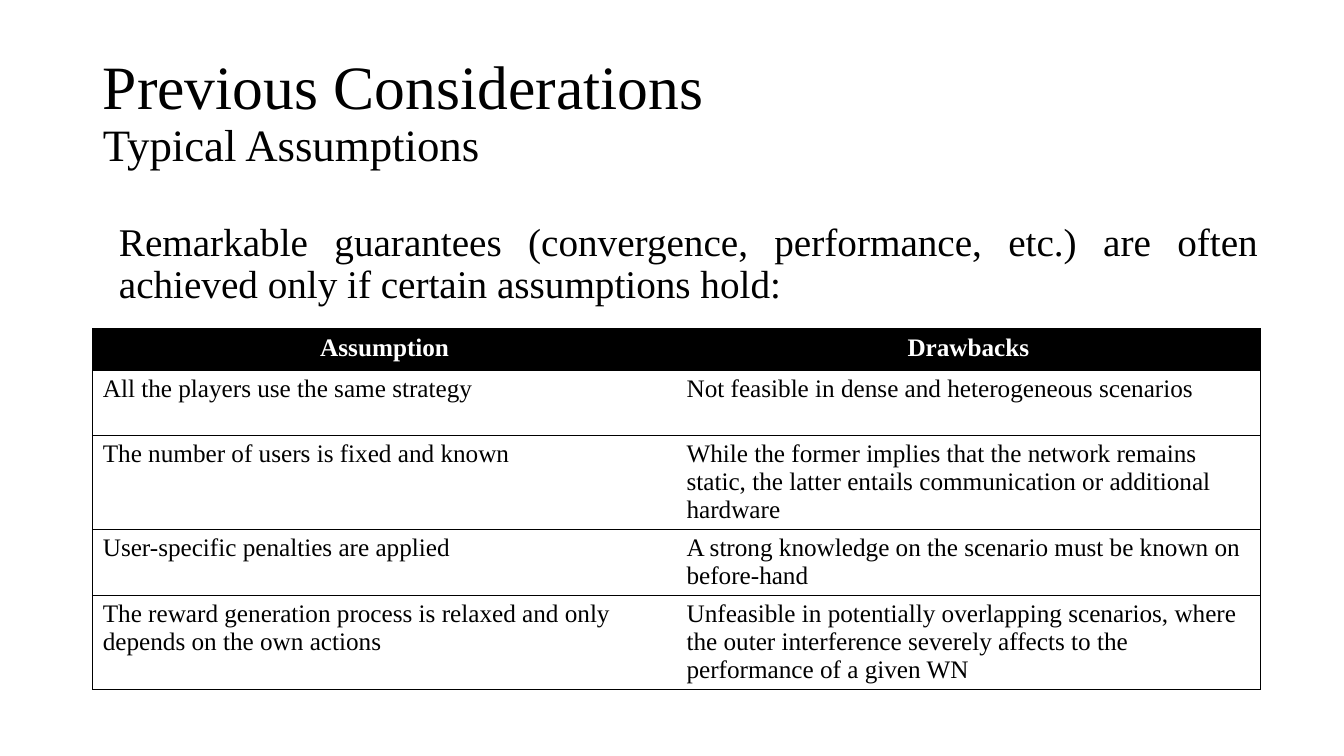
from lxml import etree
from pptx import Presentation
from pptx import util as u
from pptx.dml.color import RGBColor
from pptx.enum import text
from pptx.oxml import ns

BLACK = RGBColor(0, 0, 0)
WHITE = RGBColor(255, 255, 255)

ASSUMPTIONS = [
    ("Assumption", "Drawbacks"),
    ("All the players use the same strategy",
     "Not feasible in dense and heterogeneous scenarios"),
    ("The number of users is fixed and known",
     "While the former implies that the network remains static, the latter "
     "entails communication or additional hardware"),
    ("User-specific penalties are applied",
     "A strong knowledge on the scenario must be known on before-hand"),
    ("The reward generation process is relaxed and only depends on the own actions",
     "Unfeasible in potentially overlapping scenarios, where the outer interference "
     "severely affects to the performance of a given WN"),
]
ROW_HEIGHTS = [0.41, 0.65, 0.93, 0.65, 0.93]


class SlideWriter:
    """Holds the text style and the page being filled."""

    font_name = "Times New Roman"
    border_width = u.Pt(0.5)

    def __init__(self, page):
        self.page = page

    def style(self, font, size, color=BLACK, bold=False):
        font.name = self.font_name
        font.size = u.Pt(size)
        font.bold = bold
        font.color.rgb = color

    def place(self, holder, left, top, width, height):
        holder.left, holder.top = u.Inches(left), u.Inches(top)
        holder.width, holder.height = u.Inches(width), u.Inches(height)
        holder.text_frame.auto_size = text.MSO_AUTO_SIZE.NONE

    def title(self, heading, subheading, *area):
        holder = self.page.shapes.title
        self.place(holder, *area)
        holder.text_frame.vertical_anchor = text.MSO_ANCHOR.MIDDLE
        para = holder.text_frame.paragraphs[0]
        para.alignment = text.PP_ALIGN.LEFT
        para.line_spacing = 0.9
        for words, size in ((heading, 44), (subheading, 32)):
            if para.runs:
                para.add_line_break()
            span = para.add_run()
            span.text = words
            self.style(span.font, size)

    def body(self, words, *area):
        holder = self.page.placeholders[1]
        self.place(holder, *area)
        para = holder.text_frame.paragraphs[0]
        para.text = words
        para.alignment = text.PP_ALIGN.JUSTIFY
        para.line_spacing = 0.9
        para.space_before = u.Pt(0)
        properties = para._p.get_or_add_pPr()
        properties.set("marL", "0")
        properties.set("indent", "0")
        etree.SubElement(properties, ns.qn("a:buNone"))
        self.style(para.font, 28)

    def borders(self, cell, visible_sides):
        properties = cell._tc.get_or_add_tcPr()
        for side in "LRTB":
            line = etree.SubElement(properties, ns.qn(f"a:ln{side}"))
            if side in visible_sides:
                line.set("w", str(self.border_width))
                fill = etree.SubElement(line, ns.qn("a:solidFill"))
                etree.SubElement(fill, ns.qn("a:srgbClr"), val=str(BLACK))
            else:
                etree.SubElement(line, ns.qn("a:noFill"))

    def table(self, rows, heights, left, top, width):
        frame = self.page.shapes.add_table(
            len(rows), len(rows[0]), u.Inches(left), u.Inches(top),
            u.Inches(width), u.Inches(sum(heights)))
        grid = frame.table
        for i, (row, height) in enumerate(zip(rows, heights)):
            grid.rows[i].height = u.Inches(height)
            for j, words in enumerate(row):
                cell = grid.cell(i, j)
                self.borders(cell, "TB" + "LR"[j])
                para = cell.text_frame.paragraphs[0]
                para.text = words
                if i == 0:
                    cell.fill.solid()
                    cell.fill.fore_color.rgb = BLACK
                    para.alignment = text.PP_ALIGN.CENTER
                    self.style(para.font, 18, WHITE, bold=True)
                else:
                    cell.fill.background()
                    self.style(para.font, 18)


def main():
    deck = Presentation()
    deck.slide_width, deck.slide_height = u.Inches(13.33), u.Inches(7.5)
    writer = SlideWriter(deck.slides.add_slide(deck.slide_layouts[1]))
    writer.title("Previous Considerations", "Typical Assumptions", 0.92, 0.4, 11.5, 1.45)
    writer.body("Remarkable guarantees (convergence, performance, etc.) are often "
                "achieved only if certain assumptions hold:", 1.08, 2.16, 11.5, 4.76)
    writer.table(ASSUMPTIONS, ROW_HEIGHTS, 0.92, 3.26, 11.58)
    deck.save("out.pptx")


if __name__ == "__main__":
    main()
